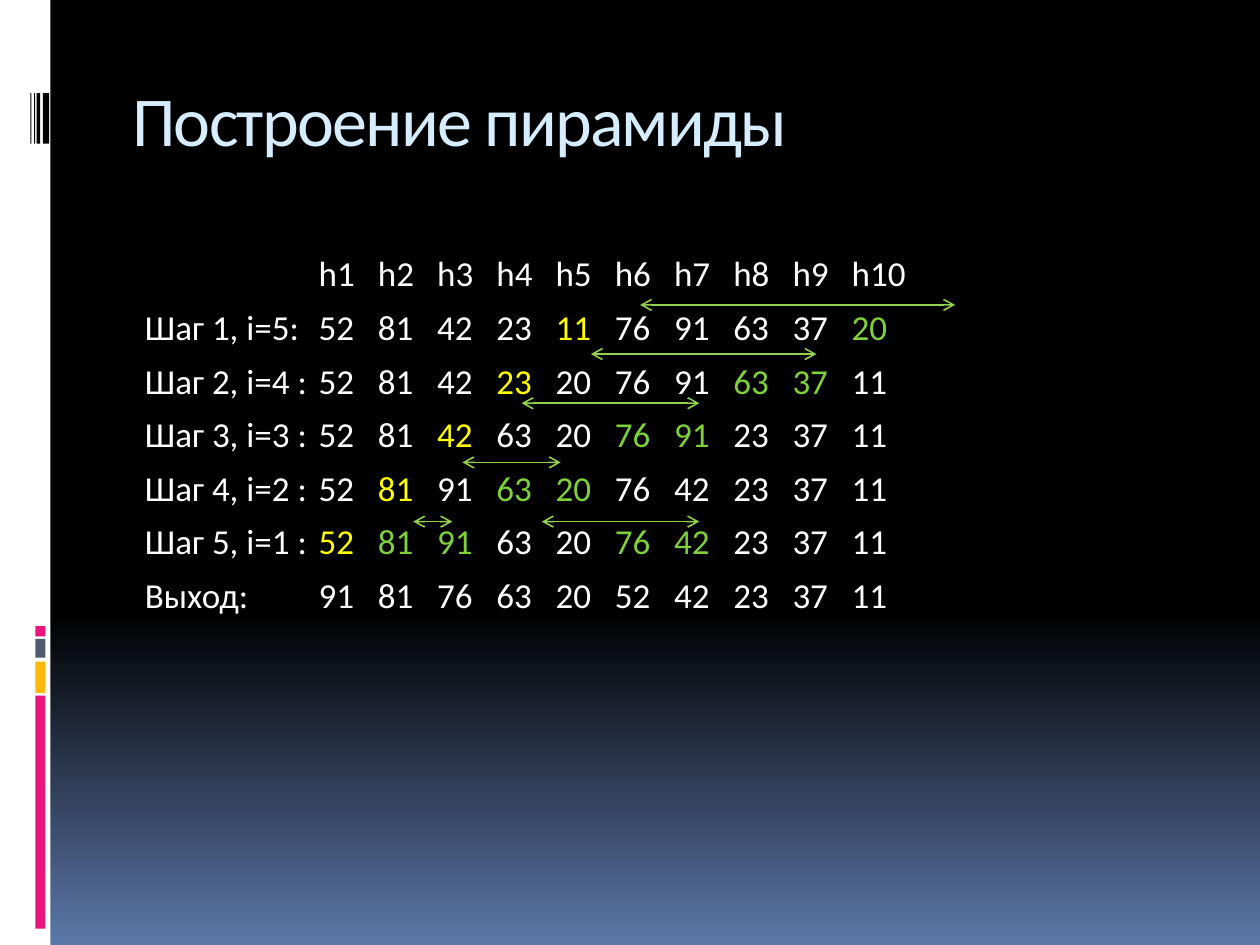
import copy

import pptx
import pptx.dml.color
import pptx.enum.shapes
import pptx.enum.text
import pptx.oxml.ns
import pptx.util
from pptx.util import Inches

WHITE = pptx.dml.color.RGBColor(0xFF, 0xFF, 0xFF)
BLACK = pptx.dml.color.RGBColor(0x00, 0x00, 0x00)
BLUE = pptx.dml.color.RGBColor(0x5B, 0x77, 0xA8)
PINK = pptx.dml.color.RGBColor(0xEA, 0x15, 0x7A)
AMBER = pptx.dml.color.RGBColor(0xFE, 0xB8, 0x0A)
SLATE = pptx.dml.color.RGBColor(0x4E, 0x5B, 0x6F)
PALE_BLUE = pptx.dml.color.RGBColor(0xD6, 0xEC, 0xFF)
YELLOW = pptx.dml.color.RGBColor(0xFF, 0xFF, 0x00)
GREEN = pptx.dml.color.RGBColor(0x7F, 0xD1, 0x3B)
ARROW_GREEN = pptx.dml.color.RGBColor(0x92, 0xD0, 0x50)

FONT = "Calibri"
FIRST_COLUMN = 1.38
COLUMN_STEP = 0.47
COLUMN_COUNT = 10

SIDEBAR = [
    (0, 0, 0.4, 7.5, WHITE),
    (0.28, 5.52, 0.08, 1.85, PINK),
    (0.28, 5.25, 0.08, 0.25, AMBER),
    (0.28, 5.07, 0.08, 0.15, SLATE),
    (0.28, 4.97, 0.08, 0.08, PINK),
]
BARCODE = [(0.34, 0.05), (0.29, 0.03), (0.27, 0.01), (0.24, 0.01)]

STEPS = [
    ("", "h1 h2 h3 h4 h5 h6 h7 h8 h9 h10", None, ()),
    ("Шаг 1, i=5:", "52 81 42 23 11 76 91 63 37 20", 5, (10,)),
    ("Шаг 2, i=4 :", "52 81 42 23 20 76 91 63 37 11", 4, (8, 9)),
    ("Шаг 3, i=3 :", "52 81 42 63 20 76 91 23 37 11", 3, (6, 7)),
    ("Шаг 4, i=2 :", "52 81 91 63 20 76 42 23 37 11", 2, (4, 5)),
    ("Шаг 5, i=1 :", "52 81 91 63 20 76 42 23 37 11", 1, (2, 3, 6, 7)),
    ("Выход:", "91 81 76 63 20 52 42 23 37 11", None, ()),
]

SWAPS = [
    (5.08, 7.58, 2.42),
    (4.69, 6.48, 2.81),
    (4.14, 5.55, 3.2),
    (3.67, 4.45, 3.67),
    (3.28, 3.59, 4.14),
    (4.3, 5.55, 4.14),
]


def paint_background(slide):
    fill = slide.background.fill
    fill.gradient()
    fill.gradient_angle = 270
    stop_list = next(slide.element.iter(pptx.oxml.ns.qn("a:gsLst")))
    stop_list.insert(0, copy.deepcopy(stop_list[0]))
    for stop, (position, color) in zip(
        fill.gradient_stops, [(0, BLACK), (0.65, BLACK), (1, BLUE)]
    ):
        stop.position = position
        stop.color.rgb = color


def add_bar(slide, left, top, width, height, color):
    bar = slide.shapes.add_shape(
        pptx.enum.shapes.MSO_SHAPE.RECTANGLE,
        Inches(left), Inches(top), Inches(width), Inches(height),
    )
    bar.shadow.inherit = False
    bar.fill.solid()
    bar.fill.fore_color.rgb = color
    bar.line.fill.background()


def add_text_frame(slide, top, height, inset):
    box = slide.shapes.add_textbox(Inches(1), Inches(top), Inches(8.5), Inches(height))
    frame = box.text_frame
    frame.word_wrap = True
    frame.margin_left = Inches(inset)
    frame.vertical_anchor = pptx.enum.text.MSO_ANCHOR.TOP
    return frame


def format_run(run, size, color):
    run.font.name = FONT
    run.font.size = pptx.util.Pt(size)
    run.font.color.rgb = color


def add_title(slide):
    frame = add_text_frame(slide, 0.56, 1, 0.05)
    frame.text = "Построение пирамиды"
    run = frame.paragraphs[0].runs[0]
    format_run(run, 40, PALE_BLUE)
    run.font._element.set("spc", "-100")


def set_column_tabs(paragraph):
    properties = paragraph._p.get_or_add_pPr()
    tabs = properties.makeelement(pptx.oxml.ns.qn("a:tabLst"), {})
    properties.append(tabs)
    for column in range(COLUMN_COUNT):
        position = Inches(FIRST_COLUMN + column * COLUMN_STEP)
        tab = tabs.makeelement(
            pptx.oxml.ns.qn("a:tab"), {"pos": str(position), "algn": "l"}
        )
        tabs.append(tab)


def add_step(paragraph, label, values, parent, children):
    paragraph.space_before = pptx.util.Pt(6.6)
    set_column_tabs(paragraph)
    colors = {child: GREEN for child in children}
    colors[parent] = YELLOW
    pieces = [(label, WHITE)] if label else []
    for index, value in enumerate(values.split(), start=1):
        pieces.append(("\t" + value, colors.get(index, WHITE)))
    for text, color in pieces:
        run = paragraph.add_run()
        run.text = text
        format_run(run, 20, color)


def add_steps(slide):
    frame = add_text_frame(slide, 1.95, 5, 0.15)
    for number, step in enumerate(STEPS):
        paragraph = frame.add_paragraph() if number else frame.paragraphs[0]
        add_step(paragraph, *step)


def add_swap_arrow(slide, left, right, y):
    arrow = slide.shapes.add_connector(
        pptx.enum.shapes.MSO_CONNECTOR.STRAIGHT,
        Inches(left), Inches(y), Inches(right), Inches(y),
    )
    arrow.line.color.rgb = ARROW_GREEN
    arrow.line.width = pptx.util.Pt(0.94)
    line = arrow.line._get_or_add_ln()
    for end in ("a:headEnd", "a:tailEnd"):
        line.append(line.makeelement(pptx.oxml.ns.qn(end), {"type": "arrow"}))
    properties = arrow._element.spPr
    properties.append(properties.makeelement(pptx.oxml.ns.qn("a:effectLst"), {}))


def main():
    presentation = pptx.Presentation()
    presentation.slide_width = Inches(10)
    presentation.slide_height = Inches(7.5)
    slide = presentation.slides.add_slide(presentation.slide_layouts[6])
    paint_background(slide)
    for bar in SIDEBAR:
        add_bar(slide, *bar)
    for left, width in BARCODE:
        add_bar(slide, left, 0.74, width, 0.4, BLACK)
    add_title(slide)
    add_steps(slide)
    for swap in SWAPS:
        add_swap_arrow(slide, *swap)
    presentation.save("out.pptx")


if __name__ == "__main__":
    main()
